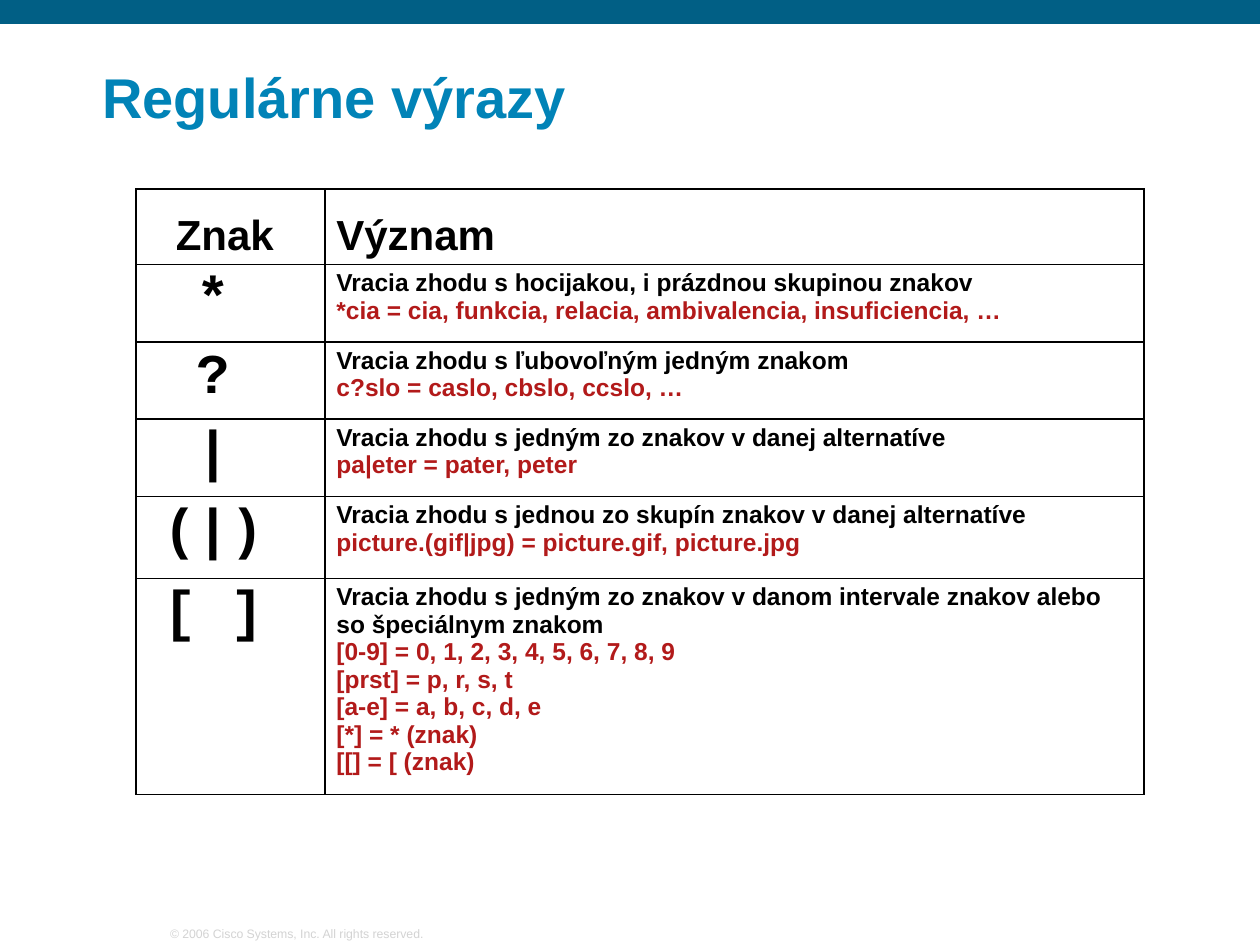
from lxml import etree
from pptx import Presentation
from pptx.dml.color import RGBColor
from pptx.enum.shapes import MSO_SHAPE
from pptx.enum.text import MSO_ANCHOR, PP_ALIGN
from pptx.oxml.ns import qn
from pptx.util import Inches, Pt

RECTANGLE = MSO_SHAPE.RECTANGLE
TOP, BOTTOM = MSO_ANCHOR.TOP, MSO_ANCHOR.BOTTOM
LEFT, CENTER = PP_ALIGN.LEFT, PP_ALIGN.CENTER

COLORS = {
    "band": "015F85",
    "title": "0183B7",
    "text": "000000",
    "example": "B21A1A",
    "copyright": "D3D3D3",
}
COLUMN_WIDTHS = [1.5, 6.5]
ROWS = [
    (0.6, "Znak ", ["Význam"]),
    (0.6, "* ", ["Vracia zhodu s hocijakou, i prázdnou skupinou znakov",
                 "*cia = cia, funkcia, relacia, ambivalencia, insuficiencia, …"]),
    (0.6, "? ", ["Vracia zhodu s ľubovoľným jedným znakom",
                 "c?slo = caslo, cbslo, ccslo, …"]),
    (0.6, "| ", ["Vracia zhodu s jedným zo znakov v danej alternatíve",
                 "pa|eter = pater, peter"]),
    (0.65, "(|) ", ["Vracia zhodu s jednou zo skupín znakov v danej alternatíve",
                    "picture.(gif|jpg) = picture.gif, picture.jpg"]),
    (1.33, "[ ] ", ["Vracia zhodu s jedným zo znakov v danom intervale znakov alebo "
                    "so špeciálnym znakom",
                    "[0-9] = 0, 1, 2, 3, 4, 5, 6, 7, 8, 9",
                    "[prst] = p, r, s, t",
                    "[a-e] = a, b, c, d, e",
                    "[*] = * (znak)",
                    "[[] = [ (znak)"]),
]


def write(frame, lines, size, colors, font="Arial", bold=True, align=LEFT):
    frame.text = "\n".join(lines)
    for index, paragraph in enumerate(frame.paragraphs):
        paragraph.alignment = align
        for run in paragraph.runs:
            run.font.name = font
            run.font.size = Pt(size)
            run.font.bold = bold
            color = colors[min(index, len(colors) - 1)]
            run.font.color.rgb = RGBColor.from_string(COLORS[color])


def style_cell(cell, anchor):
    cell.vertical_anchor = anchor
    cell.margin_left = cell.margin_right = Inches(0.09)
    cell.margin_top = cell.margin_bottom = Inches(0.04)
    properties = cell._tc.get_or_add_tcPr()
    for side in ("a:lnL", "a:lnR", "a:lnT", "a:lnB"):
        border = etree.SubElement(properties, qn(side), w=str(Pt(1)))
        fill = etree.SubElement(border, qn("a:solidFill"))
        etree.SubElement(fill, qn("a:srgbClr"), val=COLORS["text"])
    cell.fill.background()


presentation = Presentation()
presentation.slide_width = Inches(10)
presentation.slide_height = Inches(7.5)
slide = presentation.slides.add_slide(presentation.slide_layouts[6])

band = slide.shapes.add_shape(RECTANGLE, 0, 0, Inches(10), Inches(0.19))
band.shadow.inherit = False
band.fill.solid()
band.fill.fore_color.rgb = RGBColor.from_string(COLORS["band"])
band.line.fill.background()

for line, place, size, color, bold, wrap in [
    ("© 2006 Cisco Systems, Inc. All rights reserved.",
     (1.26, 7.3, 2.21, 0.21), 7, "copyright", False, False),
    ("Regulárne výrazy", (0.72, 0.33, 8.91, 0.75), 32, "title", True, True),
]:
    frame = slide.shapes.add_textbox(*map(Inches, place)).text_frame
    frame.word_wrap = wrap
    frame.vertical_anchor = BOTTOM
    frame.margin_left = frame.margin_right = Inches(0.09)
    frame.margin_top = frame.margin_bottom = Inches(0.04)
    write(frame, [line], size, [color], bold=bold)
    if wrap:
        frame.paragraphs[0].line_spacing = 0.9

expressions = slide.shapes.add_table(
    len(ROWS), len(COLUMN_WIDTHS), Inches(1.08), Inches(1.5),
    Inches(sum(COLUMN_WIDTHS)), Inches(sum(row[0] for row in ROWS))).table
expressions.first_row = False
expressions.horz_banding = False
for column, width in zip(expressions.columns, COLUMN_WIDTHS):
    column.width = Inches(width)

for index, (height, sign, meaning) in enumerate(ROWS):
    header = index == 0
    expressions.rows[index].height = Inches(height)
    sign_cell, meaning_cell = expressions.rows[index].cells
    for cell in (sign_cell, meaning_cell):
        style_cell(cell, BOTTOM if header else TOP)
    write(sign_cell.text_frame, [sign], 24 if header else 32, ["text"],
          font="Arial" if header else "Courier New", align=CENTER)
    write(meaning_cell.text_frame, meaning, 24 if header else 14, ["text", "example"])

presentation.save("out.pptx")
